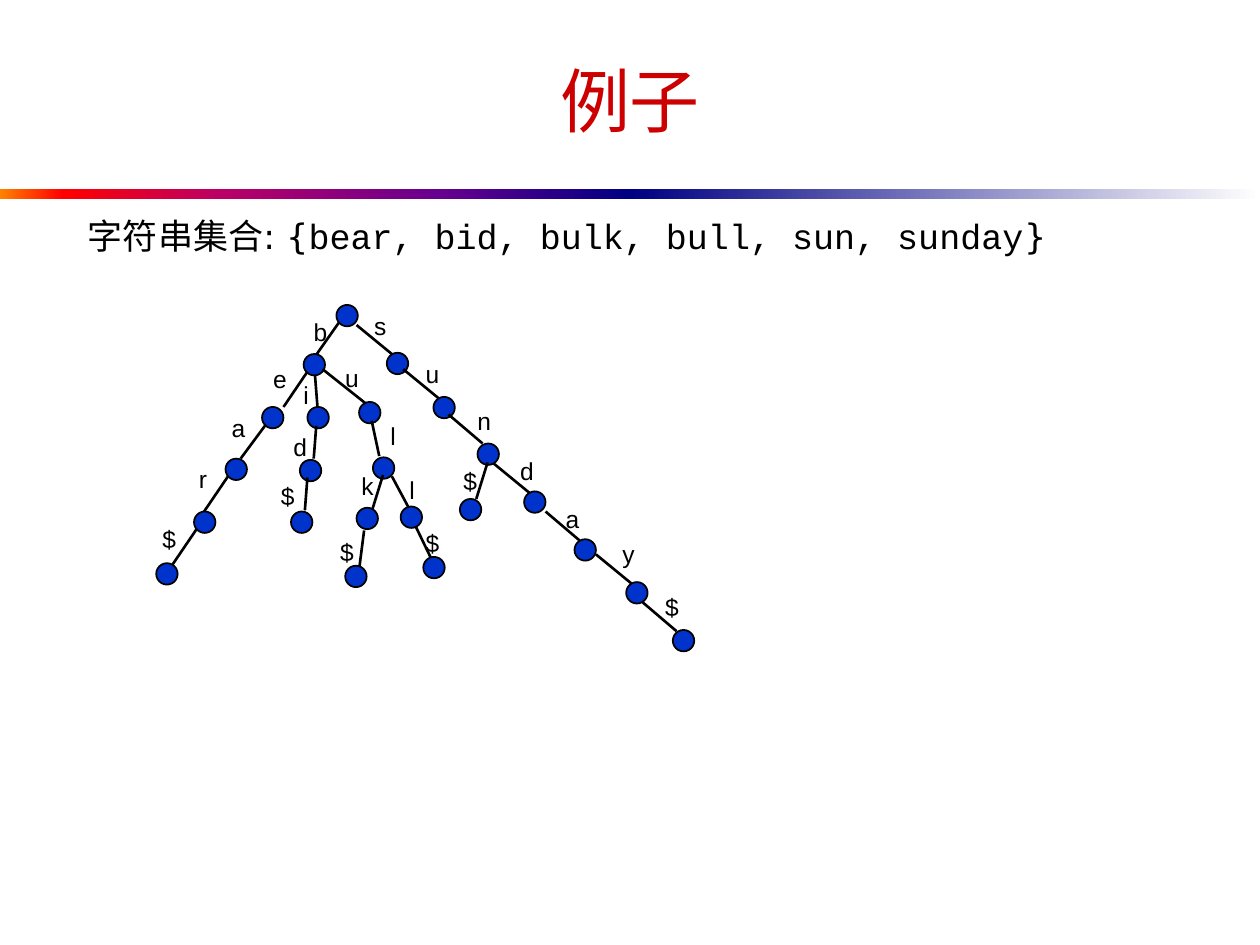
from typing import NamedTuple

from lxml import etree
from pptx import Presentation
from pptx.dml.color import RGBColor
from pptx.enum.shapes import MSO_CONNECTOR, MSO_SHAPE
from pptx.enum.text import MSO_ANCHOR, PP_ALIGN
from pptx.oxml.ns import qn
from pptx.util import Inches, Pt

STRAIGHT = MSO_CONNECTOR.STRAIGHT
RECTANGLE, OVAL = MSO_SHAPE.RECTANGLE, MSO_SHAPE.OVAL
MIDDLE, CENTER = MSO_ANCHOR.MIDDLE, PP_ALIGN.CENTER
BLACK, BLUE, RED = "000000", "0033CC", "CC0000"
NODE_SIZE = 0.17
BAR_TOP, BAR_WIDTH, BAR_HEIGHT = 1.5, 5, 0.08


class Point(NamedTuple):
    x: float
    y: float


class Branch(NamedTuple):
    letter: str
    start: Point
    end: Point
    node: Point
    label: Point


class Bar(NamedTuple):
    left: float
    stops: list[tuple[int, str]]


ROOT = Point(2.67, 2.42)
BRANCHES = [
    Branch("b", Point(2.69, 2.56), Point(2.5, 2.83), Point(2.41, 2.81), Point(2.39, 2.47)),
    Branch("e", Point(2.44, 2.95), Point(2.25, 3.23), Point(2.08, 3.23), Point(2.07, 2.84)),
    Branch("a", Point(2.11, 3.37), Point(1.91, 3.64), Point(1.79, 3.64), Point(1.74, 3.23)),
    Branch("r", Point(1.81, 3.78), Point(1.62, 4.06), Point(1.54, 4.06), Point(1.48, 3.63)),
    Branch("$", Point(1.56, 4.2), Point(1.37, 4.48), Point(1.24, 4.47), Point(1.19, 4.11)),
    Branch("s", Point(2.83, 2.58), Point(3.11, 2.81), Point(3.07, 2.8), Point(2.87, 2.42)),
    Branch("u", Point(3.2, 2.93), Point(3.48, 3.16), Point(3.44, 3.15), Point(3.28, 2.8)),
    Branch("n", Point(3.56, 3.29), Point(3.83, 3.52), Point(3.79, 3.52), Point(3.69, 3.17)),
    Branch("d", Point(3.92, 3.68), Point(4.2, 3.91), Point(4.16, 3.9), Point(4.03, 3.57)),
    Branch("a", Point(4.33, 4.06), Point(4.6, 4.29), Point(4.56, 4.28), Point(4.39, 3.95)),
    Branch("y", Point(4.73, 4.4), Point(5.01, 4.63), Point(4.97, 4.62), Point(4.84, 4.23)),
    Branch("$", Point(5.1, 4.78), Point(5.37, 5.01), Point(5.34, 5), Point(5.18, 4.65)),
    Branch("i", Point(2.5, 2.98), Point(2.52, 3.23), Point(2.44, 3.23), Point(2.31, 2.97)),
    Branch("u", Point(2.56, 2.93), Point(2.9, 3.2), Point(2.85, 3.19), Point(2.64, 2.83)),
    Branch("d", Point(2.51, 3.38), Point(2.49, 3.64), Point(2.38, 3.65), Point(2.23, 3.38)),
    Branch("$", Point(2.44, 3.79), Point(2.42, 4.05), Point(2.31, 4.06), Point(2.13, 3.77)),
    Branch("l", Point(2.95, 3.34), Point(3.01, 3.62), Point(2.96, 3.63), Point(3, 3.29)),
    Branch("k", Point(3.04, 3.77), Point(2.95, 4.06), Point(2.83, 4.03), Point(2.77, 3.69)),
    Branch("$", Point(2.89, 4.21), Point(2.85, 4.52), Point(2.74, 4.49), Point(2.6, 4.21)),
    Branch("l", Point(3.11, 3.78), Point(3.26, 4.06), Point(3.18, 4.02), Point(3.15, 3.72)),
    Branch("$", Point(3.3, 4.18), Point(3.44, 4.47), Point(3.36, 4.42), Point(3.28, 4.14)),
    Branch("$", Point(3.87, 3.67), Point(3.78, 3.96), Point(3.65, 3.96), Point(3.58, 3.65)),
]
BARS = [
    Bar(0, [(0, "FF8200"), (10, "FF0000"), (35, "BA0066"), (70, "66008F"), (100, "000082")]),
    Bar(BAR_WIDTH, [(0, "000082"), (100, "FFFFFF")]),
]


def rgb(value: str) -> RGBColor:
    return RGBColor.from_string(value)


def set_font(font, name: str, size: float, color: str) -> None:
    font.name = name
    font.size = Pt(size)
    font.color.rgb = rgb(color)


def add_bar(s, bar: Bar) -> None:
    sp = s.shapes.add_shape(RECTANGLE, Inches(bar.left), Inches(BAR_TOP),
                            Inches(BAR_WIDTH), Inches(BAR_HEIGHT))
    sp.shadow.inherit = False
    sp.line.fill.background()
    sp.fill.gradient()
    sp.fill.gradient_angle = 0
    stops = sp._element.spPr.find(qn("a:gradFill")).find(qn("a:gsLst"))
    for old in list(stops):
        stops.remove(old)
    for percent, color in bar.stops:
        stop = etree.SubElement(stops, qn("a:gs"), pos=str(percent * 1000))
        etree.SubElement(stop, qn("a:srgbClr"), val=color)


def add_text(s, text: str, at: Point, width: float, height: float, size: float, color: str):
    tf = s.shapes.add_textbox(Inches(at.x), Inches(at.y), Inches(width), Inches(height)).text_frame
    tf.word_wrap = True
    p = tf.paragraphs[0]
    p.text = text
    set_font(p.font, "Arial", size, color)
    return tf


def add_node(s, at: Point) -> None:
    sp = s.shapes.add_shape(OVAL, Inches(at.x), Inches(at.y), Inches(NODE_SIZE), Inches(NODE_SIZE))
    sp.shadow.inherit = False
    sp.fill.solid()
    sp.fill.fore_color.rgb = rgb(BLUE)
    sp.line.color.rgb = rgb(BLACK)
    sp.line.width = Pt(1)


def add_branch(s, branch: Branch) -> None:
    line = s.shapes.add_connector(STRAIGHT, Inches(branch.start.x), Inches(branch.start.y),
                                  Inches(branch.end.x), Inches(branch.end.y))
    line.line.color.rgb = rgb(BLACK)
    line.line.width = Pt(1.5)
    etree.SubElement(line._element.spPr, qn("a:effectLst"))
    add_node(s, branch.node)
    add_text(s, branch.letter, branch.label, 0.31, 0.34, 14, BLACK)


def add_string_set(s) -> None:
    tf = s.shapes.add_textbox(Inches(0.6), Inches(1.65), Inches(8.27), Inches(0.84)).text_frame
    tf.word_wrap = False
    p = tf.paragraphs[0]
    for text, font in [("字符串集合: {", "DejaVu Sans"),
                       ("bear, bid, bulk, bull, sun, sunday", "Courier New"),
                       ("}", "DejaVu Sans")]:
        r = p.add_run()
        r.text = text
        set_font(r.font, font, 20, BLACK)


def main() -> None:
    prs = Presentation()
    prs.slide_width, prs.slide_height = Inches(10), Inches(7.5)
    s = prs.slides.add_slide(prs.slide_layouts[6])
    for bar in BARS:
        add_bar(s, bar)
    title = add_text(s, "例子", Point(0.5, 0.25), 9, 1.08, 40, RED)
    title.vertical_anchor = MIDDLE
    title.paragraphs[0].alignment = CENTER
    add_node(s, ROOT)
    for branch in BRANCHES:
        add_branch(s, branch)
    add_string_set(s)
    prs.save("out.pptx")


if __name__ == "__main__":
    main()
